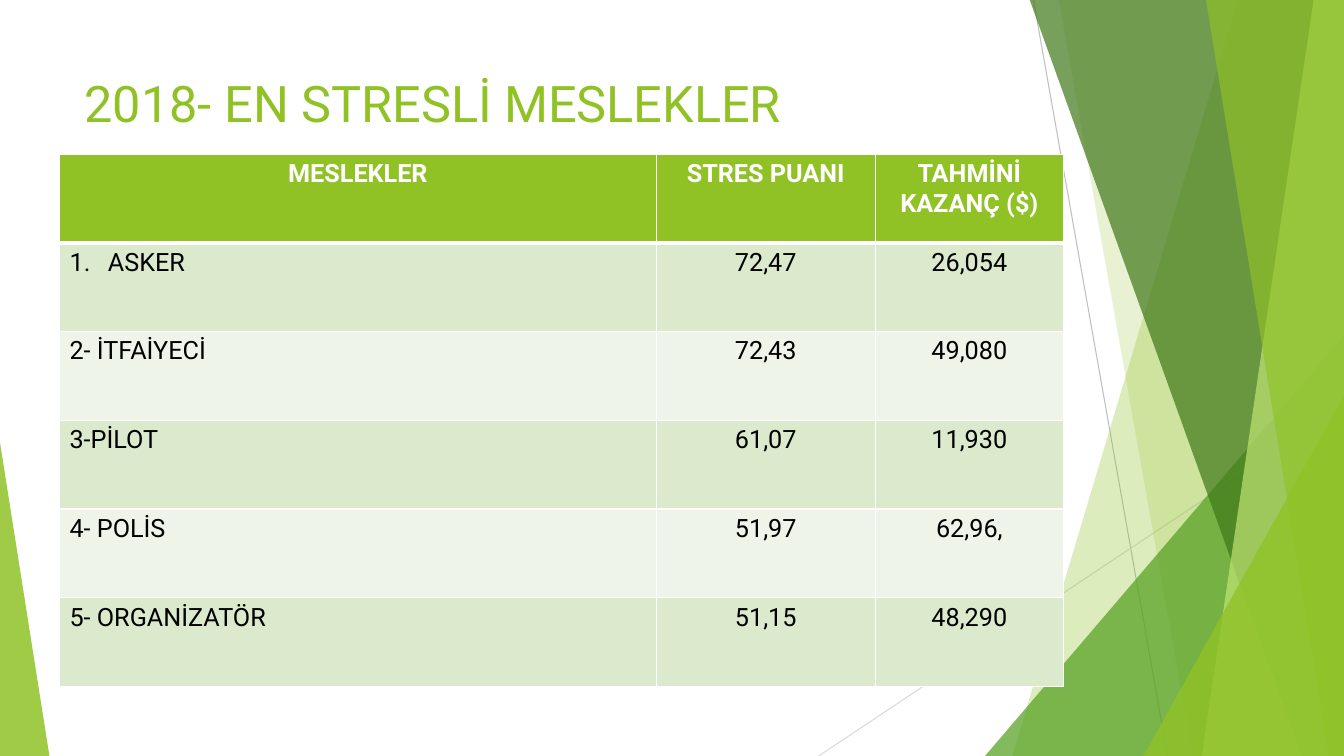
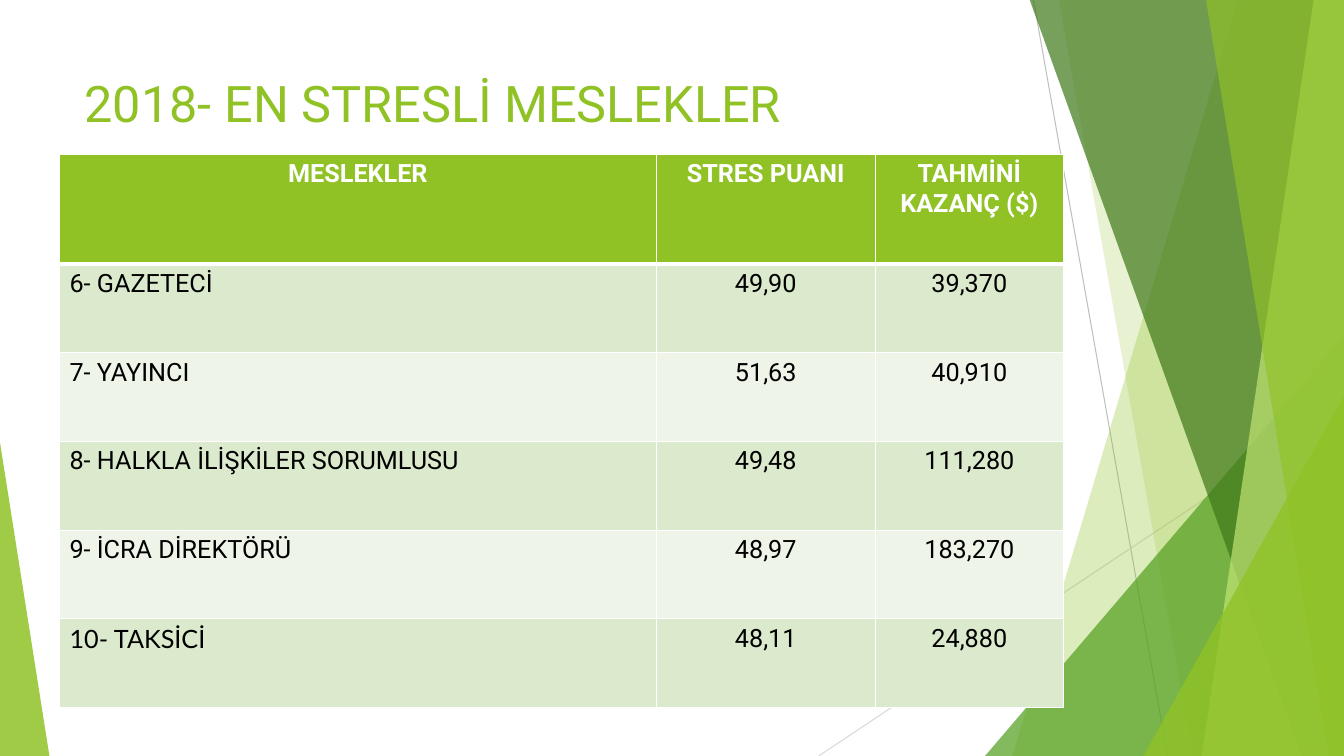
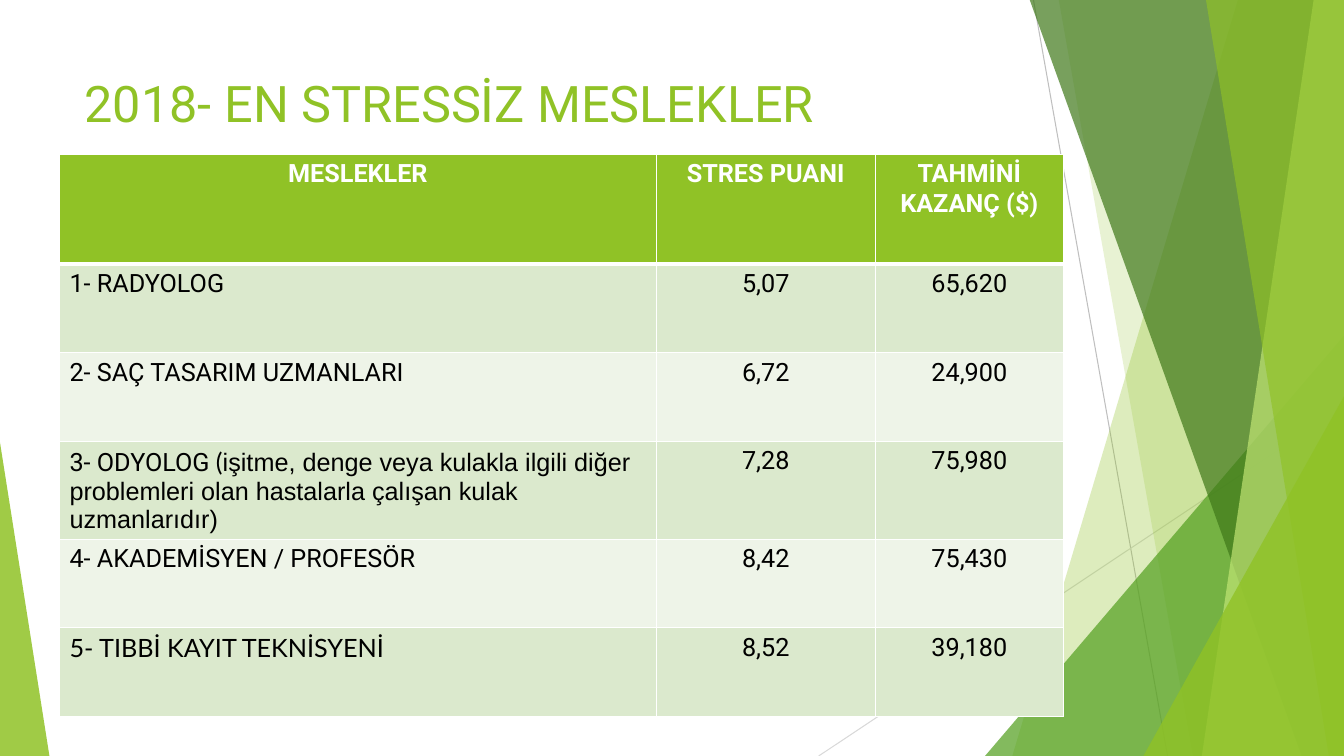
"""Build three slides ranking the most and least stressful occupations of 2018."""
from dataclasses import dataclass
from typing import NamedTuple

from lxml.etree import SubElement
from pptx import Presentation
from pptx.dml.color import RGBColor
from pptx.enum.shapes import MSO_CONNECTOR, MSO_SHAPE
from pptx.enum.text import MSO_ANCHOR, PP_ALIGN
from pptx.oxml.ns import qn
from pptx.util import Inches, Pt

LEFT, CENTER = PP_ALIGN.LEFT, PP_ALIGN.CENTER
TOP = MSO_ANCHOR.TOP
TRIANGLE = MSO_SHAPE.ISOSCELES_TRIANGLE
STRAIGHT = MSO_CONNECTOR.STRAIGHT

ROBOTO, LATO, ARIAL = "Roboto", "Lato", "Arial"
GREEN, WHITE, BLACK = "90C226", "FFFFFF", "000000"
BANDS = ("DBE9CD", "EEF4E8")
SLIDE_W, SLIDE_H = 13.33, 7.5
TITLE_ONLY = 5
COLUMN_WIDTHS = (5.92, 2.17, 1.87)
HEADINGS = ("MESLEKLER", "STRES PUANI", "TAHMİNİ KAZANÇ ($)")
ROW_HEIGHT = 0.88
TABLE_LEFT, TABLE_TOP = 0.59, 1.53


class Ray(NamedTuple):
    start: tuple[float, float]
    end: tuple[float, float]
    color: str


class Shard(NamedTuple):
    top_left: float
    top_right: float
    bottom_left: float
    color: str
    opacity: int


class Corner(NamedTuple):
    left: float
    top: float
    width: float
    apex: float
    color: str
    opacity: int


class Snippet(NamedTuple):
    text: str
    font: str


@dataclass(frozen=True)
class Occupation:
    name: str
    score: str
    earnings: str
    name_font: str = ROBOTO
    numbered: bool = False
    explanation: tuple[Snippet, ...] = ()


@dataclass(frozen=True)
class Ranking:
    title: str
    header_height: float
    occupations: tuple[Occupation, ...]


BACKDROP = (
    Ray((10.25, 0), (11.58, SLIDE_H), "BFBFBF"),
    Ray((SLIDE_W, 4.03), (8.12, SLIDE_H), "D9D9D9"),
    Shard(12.28, SLIDE_W, 10.04, GREEN, 30),
    Shard(10.5, SLIDE_W, 11.83, GREEN, 20),
    Corner(9.77, 3.33, 3.56, 1, "54A021", 72),
    Shard(10.21, SLIDE_W, 12.91, "3F7819", 70),
    Shard(13.03, SLIDE_W, 11.92, "C0E474", 70),
    Shard(11.96, SLIDE_W, 13.18, GREEN, 65),
    Corner(11.34, 3.93, 1.99, 1, GREEN, 80),
    Corner(0, 4.39, 0.49, 0, GREEN, 85),
)

RANKINGS = (
    Ranking("2018- EN STRESLİ MESLEKLER", 0.88, (
        Occupation("ASKER", "72,47", "26,054", numbered=True),
        Occupation("2- İTFAİYECİ", "72,43", "49,080"),
        Occupation("3-PİLOT", "61,07", "11,930"),
        Occupation("4- POLİS", "51,97", "62,96,"),
        Occupation("5- ORGANİZATÖR", "51,15", "48,290"),
    )),
    Ranking("2018- EN STRESLİ MESLEKLER", 1.09, (
        Occupation("6- GAZETECİ", "49,90", "39,370"),
        Occupation("7- YAYINCI", "51,63", "40,910"),
        Occupation("8- HALKLA İLİŞKİLER SORUMLUSU", "49,48", "111,280"),
        Occupation("9- İCRA DİREKTÖRÜ", "48,97", "183,270"),
        Occupation("10- TAKSİCİ", "48,11", "24,880", LATO),
    )),
    Ranking("2018- EN STRESSİZ MESLEKLER", 1.09, (
        Occupation("1- RADYOLOG", "5,07", "65,620"),
        Occupation("2- SAÇ TASARIM UZMANLARI", "6,72", "24,900"),
        Occupation("3- ODYOLOG ", "7,28", "75,980", explanation=(
            Snippet("(", LATO),
            Snippet("işitme, denge veya kulakla ilgili diğer problemleri olan "
                    "hastalarla çalışan kulak uzmanlarıdır)", ARIAL),
        )),
        Occupation("4- AKADEMİSYEN / PROFESÖR", "8,42", "75,430"),
        Occupation("5- TIBBİ KAYIT TEKNİSYENİ", "8,52", "39,180", LATO),
    )),
)


def paint(fill, color: str) -> None:
    fill.solid()
    fill.fore_color.rgb = RGBColor.from_string(color)


def style_font(font, color: str, size: float, name: str = ROBOTO, bold: bool = False) -> None:
    font.name, font.size, font.bold = name, Pt(size), bold
    font.color.rgb = RGBColor.from_string(color)


def draw_ray(shapes, ray: Ray) -> None:
    line = shapes.add_connector(STRAIGHT, *map(Inches, ray.start + ray.end))
    paint(line.line.fill, ray.color)
    line.line.width = Pt(0.75)
    SubElement(line.element.find(qn("p:spPr")), qn("a:effectLst"))


def draw_shard(shapes, shard: Shard):
    outline = [(shard.top_left, -0.01), (shard.top_right, -0.01),
               (SLIDE_W, SLIDE_H), (shard.bottom_left, SLIDE_H)]
    points = [(Inches(x), Inches(y)) for x, y in outline]
    builder = shapes.build_freeform(*points[0])
    builder.add_line_segments(points[1:], close=True)
    return builder.convert_to_shape()


def draw_corner(shapes, corner: Corner):
    triangle = shapes.add_shape(TRIANGLE, Inches(corner.left), Inches(corner.top),
                                Inches(corner.width), Inches(SLIDE_H - corner.top))
    triangle.adjustments[0] = corner.apex
    return triangle


def draw_backdrop(shapes) -> None:
    for facet in BACKDROP:
        if isinstance(facet, Ray):
            draw_ray(shapes, facet)
            continue
        draw = draw_shard if isinstance(facet, Shard) else draw_corner
        pane = draw(shapes, facet)
        paint(pane.fill, facet.color)
        tint = pane.element.find(f".//{qn('a:srgbClr')}")
        SubElement(tint, qn("a:alpha"), val=str(facet.opacity * 1000))
        pane.line.fill.background()
        pane.shadow.inherit = False


def prepare_layout(prs):
    """Give the title-only layout the shared backdrop and title position."""
    layout = prs.slide_layouts[TITLE_ONLY]
    title, *footers = layout.placeholders
    for footer in footers:
        footer.element.getparent().remove(footer.element)
    title.left, title.top = Inches(0.74), Inches(0.67)
    title.width, title.height = Inches(9.4), Inches(1.44)
    title.text_frame.vertical_anchor = TOP
    return layout


def move_to_layout(slide, layout) -> None:
    """Move everything but the title of a slide behind the layout's title."""
    facets = [shape.element for shape in slide.shapes if not shape.is_placeholder]
    layout_title = layout.placeholders[0].element
    for facet in facets:
        layout_title.addprevious(facet)


def border_cell(cell, top: float, bottom: float) -> None:
    properties = cell._tc.get_or_add_tcPr()
    for side, width in (("L", 1), ("R", 1), ("T", top), ("B", bottom)):
        edge = SubElement(properties, qn(f"a:ln{side}"), w=str(Pt(width)))
        SubElement(SubElement(edge, qn("a:solidFill")), qn("a:srgbClr"), val=WHITE)


def number_paragraph(paragraph) -> None:
    properties = paragraph._p.get_or_add_pPr()
    properties.set("marL", str(Inches(0.38)))
    properties.set("indent", str(Inches(-0.38)))
    SubElement(properties, qn("a:buAutoNum"), type="arabicPeriod")


def fill_row(table, row: int, texts: tuple[str, ...], fonts: tuple[str, ...]) -> None:
    header = row == 0
    for column, (text, font) in enumerate(zip(texts, fonts)):
        cell = table.cell(row, column)
        border_cell(cell, 3 if row == 1 else 1, 3 if header else 1)
        paint(cell.fill, GREEN if header else BANDS[(row - 1) % 2])
        paragraph = cell.text_frame.paragraphs[0]
        paragraph.add_run().text = text
        paragraph.alignment = CENTER if header or column else LEFT
        style_font(paragraph.font, WHITE if header else BLACK, 18, font, header)


def add_ranking_table(slide, ranking: Ranking) -> None:
    heights = [ranking.header_height] + [ROW_HEIGHT] * len(ranking.occupations)
    table = slide.shapes.add_table(
        len(heights), len(HEADINGS), Inches(TABLE_LEFT), Inches(TABLE_TOP),
        Inches(sum(COLUMN_WIDTHS)), Inches(sum(heights))).table
    for column, width in zip(table.columns, COLUMN_WIDTHS):
        column.width = Inches(width)
    for row, height in zip(table.rows, heights):
        row.height = Inches(height)
    fill_row(table, 0, HEADINGS, (ROBOTO,) * len(HEADINGS))
    for row, job in enumerate(ranking.occupations, start=1):
        name = table.cell(row, 0).text_frame.paragraphs[0]
        if job.numbered:
            number_paragraph(name)
        fill_row(table, row, (job.name, job.score, job.earnings),
                 (job.name_font, ROBOTO, ROBOTO))
        for snippet in job.explanation:
            run = name.add_run()
            run.text, run.font.name = snippet


def main() -> None:
    prs = Presentation()
    prs.slide_width, prs.slide_height = Inches(SLIDE_W), Inches(SLIDE_H)
    layout = prepare_layout(prs)
    for index, ranking in enumerate(RANKINGS):
        slide = prs.slides.add_slide(layout)
        if index == 0:
            draw_backdrop(slide.shapes)
            move_to_layout(slide, layout)
        heading = slide.shapes.title.text_frame
        heading.text = ranking.title
        heading.paragraphs[0].alignment = LEFT
        style_font(heading.paragraphs[0].font, GREEN, 36)
        add_ranking_table(slide, ranking)
    prs.save("out.pptx")


if __name__ == "__main__":
    main()
